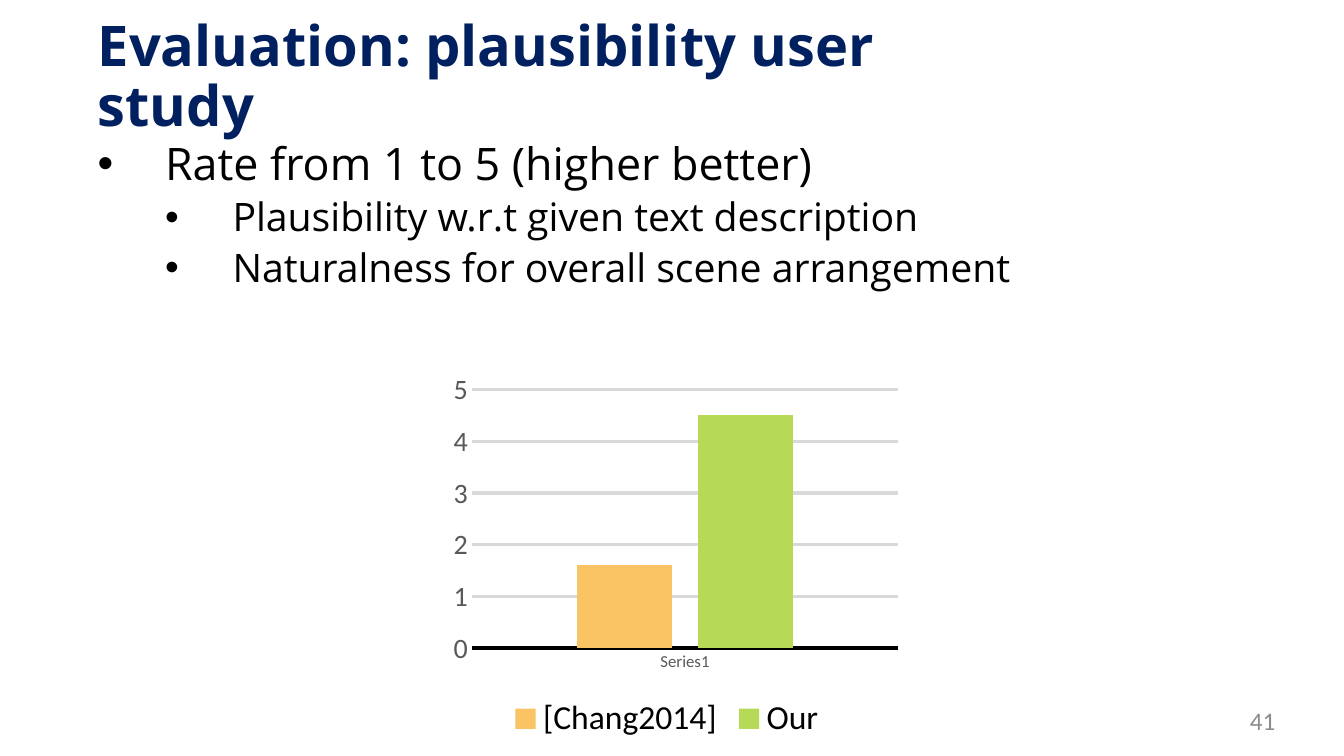
from lxml import etree
from pptx import Presentation
from pptx import util as u
from pptx.chart.data import CategoryChartData
from pptx.dml.color import RGBColor
from pptx.enum import chart as c, text as t
from pptx.oxml import parse_xml
from pptx.oxml.ns import nsdecls, qn

# Content
TITLE = "Evaluation: plausibility user study"
BULLETS = [  # level, text, size
    (0, "Rate from 1 to 5 (higher better)", 32),
    (1, "Plausibility w.r.t given text description", 28),
    (1, "Naturalness for overall scene arrangement", 28),
]
CATEGORY = "Series1"
RATINGS = [("[Chang2014]", 1.6, "FAC364"), ("Our", 4.5, "B6D957")]
PAGE_NUMBER = "41"

# Places in centimetres: left, top, width, height
TITLE_BOX = (2.21, 0.94, 23.16, 2.08)
BULLET_BOX = (2.21, 3.45, 29.46, 4.8)
CHART_BOX = (10.62, 7.98, 12.37, 10.82)
NUMBER_BOX = (24.49, 17.65, 7.9, 1.02)
PLOT_AREA = {"x": 0.103, "y": 0.17, "w": 0.868, "h": 0.602}
INDENT = 1.7


def color(value):
    return RGBColor.from_string(value)


def place(box):
    return [u.Cm(length) for length in box]


def style_font(font, size, name, fill, bold=False):
    font.size, font.name, font.bold = u.Pt(size), name, bold
    font.color.rgb = color(fill)


def write(paragraph, text, align=t.PP_ALIGN.LEFT, spacing=0.9, **font):
    paragraph.alignment = align
    paragraph.line_spacing = spacing
    run = paragraph.add_run()
    run.text = text
    style_font(run.font, **font)


def add_bullet(paragraph, level):
    properties = paragraph._p.get_or_add_pPr()
    properties.set("marL", str(u.Cm(INDENT * (level + 1))))
    properties.set("indent", str(-u.Cm(INDENT)))
    properties.append(parse_xml(f'<a:buFont {nsdecls("a")} typeface="Arial"/>'))
    properties.append(parse_xml(f'<a:buChar {nsdecls("a")} char="•"/>'))


def set_plot_area(chart):
    plot_area = chart._chartSpace.chart.plotArea
    for old in plot_area.findall(qn("c:layout")):
        plot_area.remove(old)
    layout = etree.Element(qn("c:layout"))
    manual = etree.SubElement(layout, qn("c:manualLayout"))
    settings = {"layoutTarget": "inner", "xMode": "edge", "yMode": "edge", **PLOT_AREA}
    for tag, value in settings.items():
        etree.SubElement(manual, qn(f"c:{tag}")).set("val", str(value))
    plot_area.insert(0, layout)


presentation = Presentation()
presentation.slide_width, presentation.slide_height = u.Inches(13.333), u.Inches(7.5)
slide = presentation.slides.add_slide(presentation.slide_layouts[5])

# Title
title = slide.shapes.title
title.left, title.top, title.width, title.height = place(TITLE_BOX)
title.text_frame.word_wrap = True
title.text_frame.vertical_anchor = t.MSO_ANCHOR.MIDDLE
write(title.text_frame.paragraphs[0], TITLE,
      size=40, name="Open Sans", fill="002060", bold=True)

# Bullets
frame = slide.shapes.add_textbox(*place(BULLET_BOX)).text_frame
frame.word_wrap = True
for index, (level, text, size) in enumerate(BULLETS):
    paragraph = frame.add_paragraph() if index else frame.paragraphs[0]
    paragraph.level = level
    add_bullet(paragraph, level)
    if index:
        paragraph.space_before = u.Pt(size * 0.2)
    write(paragraph, text, size=size, name="Open Sans", fill="000000")

# Page number
frame = slide.shapes.add_textbox(*place(NUMBER_BOX)).text_frame
frame.word_wrap = True
frame.vertical_anchor = t.MSO_ANCHOR.MIDDLE
write(frame.paragraphs[0], PAGE_NUMBER, align=t.PP_ALIGN.RIGHT, spacing=1.0,
      size=18, name="Calibri", fill="8C8C8C")

# Rating chart
data = CategoryChartData()
data.categories = [CATEGORY]
for name, rating, _ in RATINGS:
    data.add_series(name, [rating])
chart = slide.shapes.add_chart(
    c.XL_CHART_TYPE.COLUMN_CLUSTERED, *place(CHART_BOX), data).chart
chart.has_title = False
style_font(chart.font, 10, "Calibri", "000000")
set_plot_area(chart)

plot = chart.plots[0]
plot.vary_by_categories = False
plot.gap_width, plot.overlap = 219, -27
for series, (_, _, fill) in zip(plot.series, RATINGS):
    series.format.fill.solid()
    series.format.fill.fore_color.rgb = color(fill)

for axis, size in ((chart.category_axis, 12), (chart.value_axis, 20)):
    axis.major_tick_mark = axis.minor_tick_mark = c.XL_TICK_MARK.NONE
    style_font(axis.tick_labels.font, size, "Calibri", "595959")
value_axis = chart.value_axis
value_axis.minimum_scale, value_axis.maximum_scale, value_axis.major_unit = 0, 5, 1
value_axis.format.line.fill.background()
for line, fill in ((chart.category_axis.format.line, "000000"),
                   (value_axis.major_gridlines.format.line, "D9D9D9")):
    line.color.rgb = color(fill)
    line.width = u.Pt(2.25)

chart.has_legend = True
chart.legend.position = c.XL_LEGEND_POSITION.BOTTOM
chart.legend.include_in_layout = False
style_font(chart.legend.font, 24, "Calibri", "000000")

presentation.save("out.pptx")
